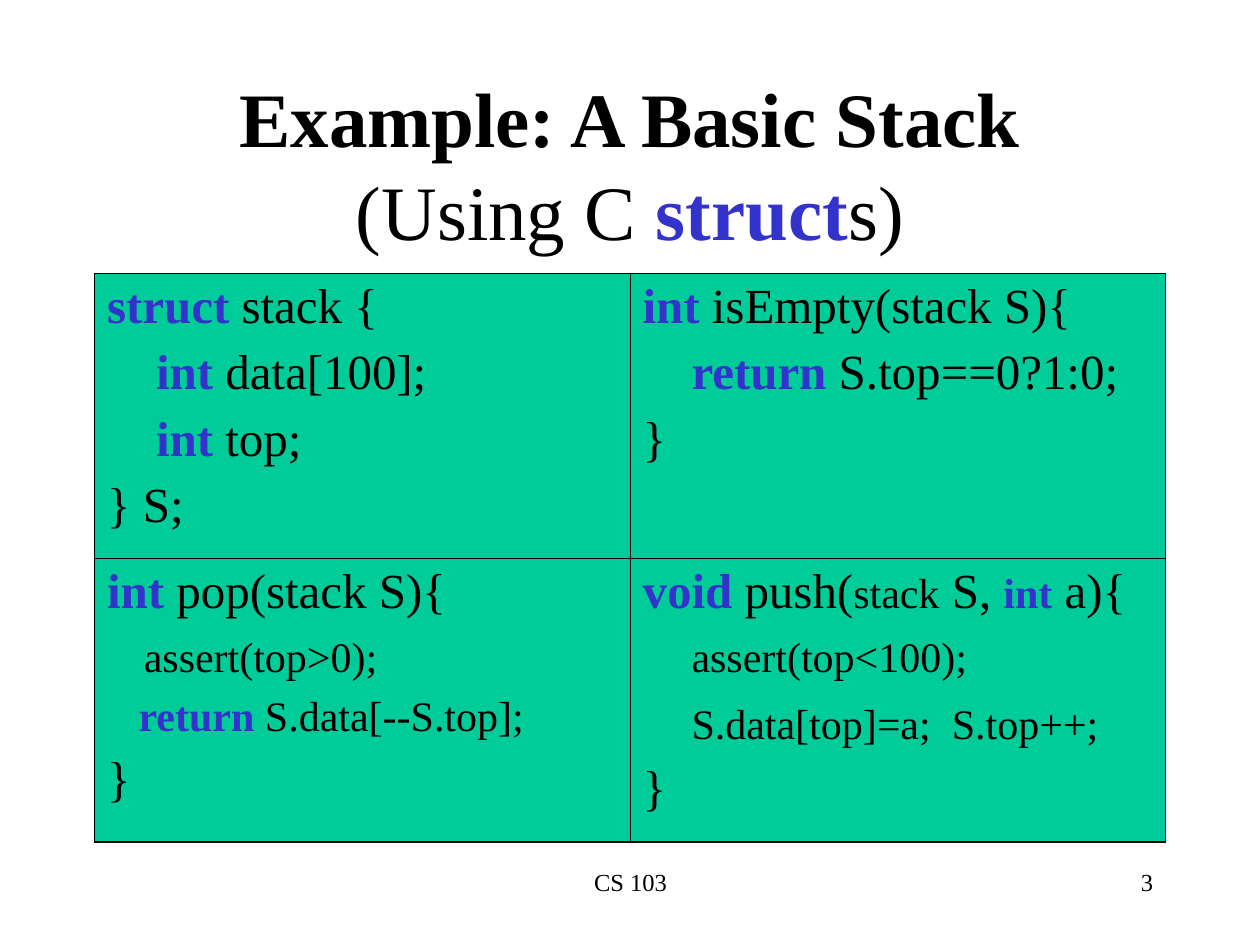
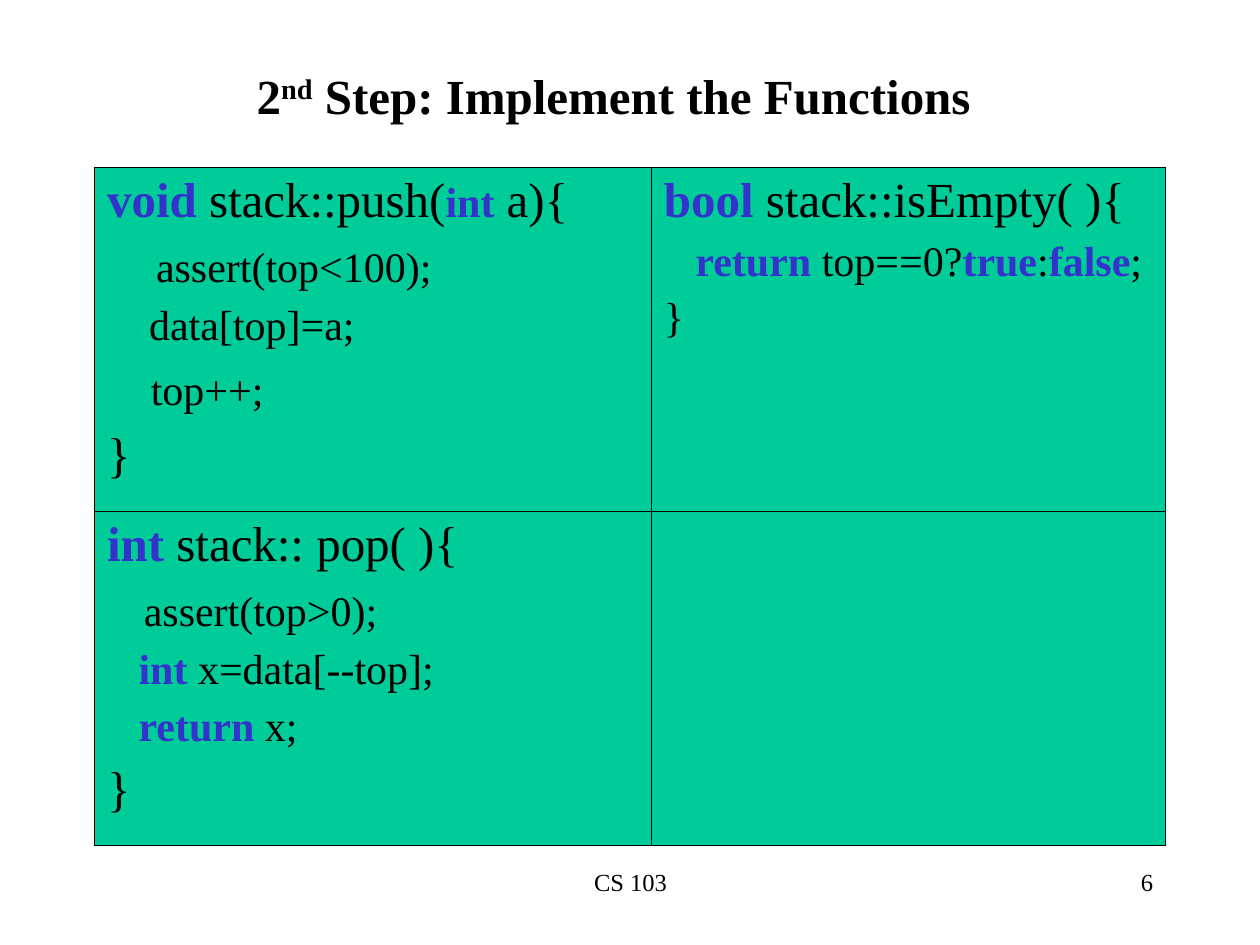
import pptx
import pptx.util
import pptx.dml.color
import pptx.enum.text
import pptx.oxml.ns
import lxml.etree

Inches = pptx.util.Inches
Pt = pptx.util.Pt
ALIGN = pptx.enum.text.PP_ALIGN
FONT = "Times New Roman"
BLACK, BLUE, GREEN = "000000", "3333CC", "00CC99"
BIG, SMALL = 28, 24
THICK, THIN = 1.08, 0.45


def color(code):
    return pptx.dml.color.RGBColor.from_string(code)


class Deck:
    def __init__(self):
        self.file = pptx.Presentation()
        self.file.slide_width = Inches(10)
        self.file.slide_height = Inches(7.5)
        self.slide = None

    def start(self, number):
        """Add a slide with its footer and page number."""
        self.slide = self.file.slides.add_slide(self.file.slide_layouts[5])
        self.label("CS 103", 3.42, 3.17, ALIGN.CENTER)
        self.label(str(number), 7.17, 2.08, ALIGN.RIGHT)

    def run(self, para, text, size, bold=False, tint=BLACK):
        run = para.add_run()
        run.text = text
        font = run.font
        font.name, font.size, font.bold = FONT, Pt(size), bold
        font.color.rgb = color(tint)
        return run

    def label(self, text, left, width, align):
        box = self.slide.shapes.add_textbox(
            Inches(left), Inches(6.83), Inches(width), Inches(0.5))
        box.text_frame.word_wrap = True
        para = box.text_frame.paragraphs[0]
        para.alignment = align
        self.run(para, text, 14)

    def title(self, left, top, width, height):
        """Place the title and return its empty paragraph."""
        shape = self.slide.shapes.title
        shape.left, shape.top = Inches(left), Inches(top)
        shape.width, shape.height = Inches(width), Inches(height)
        frame = shape.text_frame
        frame.auto_size = pptx.enum.text.MSO_AUTO_SIZE.NONE
        frame.vertical_anchor = pptx.enum.text.MSO_ANCHOR.MIDDLE
        para = frame.paragraphs[0]
        para.alignment = ALIGN.CENTER
        return para

    def code(self, para, line):
        """Write a line: * toggles keyword style, ~ toggles small size."""
        for i, part in enumerate(line.split("~")):
            size = SMALL if i % 2 else BIG
            for j, text in enumerate(part.split("*")):
                if text:
                    key = j % 2 == 1
                    self.run(para, text, size, key, BLUE if key else BLACK)

    def border(self, cell, side, width):
        qn = pptx.oxml.ns.qn
        line = lxml.etree.SubElement(
            cell._tc.get_or_add_tcPr(), qn("a:ln" + side), w=str(Pt(width)))
        fill = lxml.etree.SubElement(line, qn("a:solidFill"))
        lxml.etree.SubElement(fill, qn("a:srgbClr"), val=BLACK)

    def table(self, top, widths, heights, cells):
        rows, cols = len(heights), len(widths)
        table = self.slide.shapes.add_table(
            rows, cols, Inches(0.75), Inches(top),
            Inches(sum(widths)), Inches(sum(heights))).table
        table.first_row = table.horz_banding = False
        for col, width in zip(table.columns, widths):
            col.width = Inches(width)
        for row, height in zip(table.rows, heights):
            row.height = Inches(height)
        for r in range(rows):
            for c in range(cols):
                cell = table.cell(r, c)
                edges = {"L": c == 0, "R": c == cols - 1,
                         "T": r == 0, "B": r == rows - 1}
                for side, outer in edges.items():
                    self.border(cell, side, THICK if outer else THIN)
                cell.fill.solid()
                cell.fill.fore_color.rgb = color(GREEN)
                self.block(cell.text_frame, cells[r][c])

    def block(self, frame, lines):
        """Fill a cell with code lines."""
        for i, line in enumerate(lines):
            para = frame.add_paragraph() if i else frame.paragraphs[0]
            if i:
                para.space_before = Pt(6 if line.count("~") % 2 else 7)
            self.code(para, line)


def structs(deck):
    deck.start(3)
    para = deck.title(0.75, 0.67, 8.5, 1.25)
    deck.run(para, "Example: A Basic Stack", 44, True)
    para.add_line_break()
    deck.run(para, "(Using C ", 44)
    deck.run(para, "struct", 44, True, BLUE)
    deck.run(para, "s)", 44)
    deck.table(2.17, [4.25, 4.25], [2.25, 2.25], [
        [["*struct *stack {",
          "    *int* data[100];",
          "    *int* top;",
          "} S;"],
         ["*int* isEmpty(stack S){",
          "    *return* S.top==0?1:0;",
          "}"]],
        [["*int* pop(stack S){",
          "   ~assert(top>0);",
          "~   *return* S.data[--S.top];",
          "}"],
         ["*void* push(~stack~ S, ~*int*~ a){",
          "    ~assert(top<100);",
          "    ~S.data[top]=a;  S.top++;~",
          "}"]]])


def steps(deck):
    deck.start(6)
    para = deck.title(0.83, 0.5, 8.08, 0.5)
    deck.run(para, "2", BIG, True)
    raised = deck.run(para, "nd", BIG, True)
    raised.font._element.set("baseline", "30000")
    deck.run(para, " Step: Implement the Functions", BIG, True)
    deck.table(1.33, [4.42, 4.08], [2.73, 2.65], [
        [["*void* stack::push(~*int*~ a){",
          "    ~assert(top<100);",
          "~    data[top]=a;",
          " ~   top++;~",
          "}"],
         ["*bool* stack::isEmpty( ){",
          "~   *return* top==0?*true*:*false*;",
          "~}"]],
        [["*int* stack:: pop( ){",
          "   ~assert(top>0);",
          "~   *int* x=data[--top];",
          "~   *return* x;",
          "}"],
         []]])


def main():
    deck = Deck()
    structs(deck)
    steps(deck)
    deck.file.save("out.pptx")


if __name__ == "__main__":
    main()
